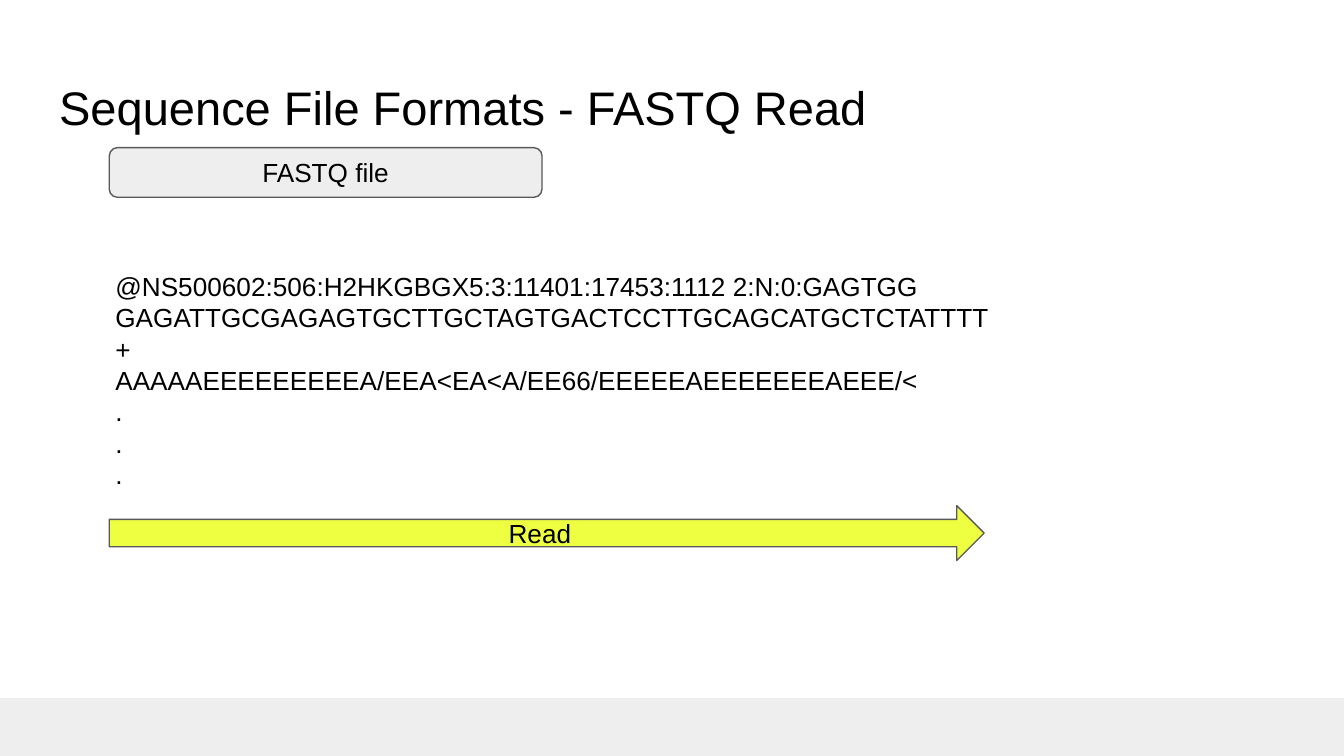
import pptx
import pptx.util
import pptx.dml.color
import pptx.enum.shapes
import pptx.enum.text

COLORS = {"black": "000000", "gray": "EEEEEE", "outline": "595959", "yellow": "EEFF41"}
SHAPES = pptx.enum.shapes.MSO_SHAPE
ALIGN = pptx.enum.text.PP_ALIGN
ANCHOR = pptx.enum.text.MSO_ANCHOR

deck = pptx.Presentation()
deck.slide_width = pptx.util.Inches(10)
deck.slide_height = deck.slide_width * 9 // 16
slide = deck.slides.add_slide(deck.slide_layouts[5])


def box(left, top, width, height):
    shares = ((left, deck.slide_width), (top, deck.slide_height),
              (width, deck.slide_width), (height, deck.slide_height))
    return [round(percent / 100 * side) for percent, side in shares]


def write(shape, text, size, align, anchor):
    frame = shape.text_frame
    frame.word_wrap = True
    frame.auto_size = pptx.enum.text.MSO_AUTO_SIZE.NONE
    frame.vertical_anchor = anchor
    frame.margin_left = frame.margin_right = pptx.util.Inches(0.1)
    frame.margin_top = frame.margin_bottom = pptx.util.Inches(0.1)
    frame.text = text
    for paragraph in frame.paragraphs:
        paragraph.alignment = align
        for run in paragraph.runs:
            run.font.name = "Arial"
            run.font.size = pptx.util.Pt(size)
            run.font.color.rgb = pptx.dml.color.RGBColor.from_string(COLORS["black"])


footer_band = slide.shapes.add_shape(SHAPES.RECTANGLE, *box(0, 92.35, 100, 7.65))
footer_band.shadow.inherit = False
footer_band.fill.solid()
footer_band.fill.fore_color.rgb = pptx.dml.color.RGBColor.from_string(COLORS["gray"])
footer_band.line.fill.background()

title = slide.shapes.title
title.left, title.top, title.width, title.height = box(3.4, 8.65, 93.2, 11.2)
write(title, "Sequence File Formats - FASTQ Read", 25.2, ALIGN.LEFT, ANCHOR.TOP)

record_lines = [
    "@NS500602:506:H2HKGBGX5:3:11401:17453:1112 2:N:0:GAGTGG",
    "GAGATTGCGAGAGTGCTTGCTAGTGACTCCTTGCAGCATGCTCTATTTT",
    "+",
    "AAAAAEEEEEEEEEA/EEA<EA<A/EE66/EEEEEAEEEEEEEAEEE/<",
    ".",
    ".",
    ".",
]
record = slide.shapes.add_textbox(*box(7.6, 33.98, 93.2, 32.9))
write(record, "\n".join(record_lines), 14, ALIGN.LEFT, ANCHOR.TOP)

labels = [
    ("FASTQ file", SHAPES.ROUNDED_RECTANGLE, "gray", box(8.13, 19.53, 32.2, 6.57)),
    ("Read", SHAPES.RIGHT_ARROW, "yellow", box(8.13, 66.9, 65.1, 7.25)),
]
for text, outline, color, place in labels:
    label = slide.shapes.add_shape(outline, *place)
    label.shadow.inherit = False
    label.fill.solid()
    label.fill.fore_color.rgb = pptx.dml.color.RGBColor.from_string(COLORS[color])
    label.line.color.rgb = pptx.dml.color.RGBColor.from_string(COLORS["outline"])
    label.line.width = pptx.util.Pt(0.75)
    write(label, text, 14, ALIGN.CENTER, ANCHOR.MIDDLE)

deck.save("out.pptx")
